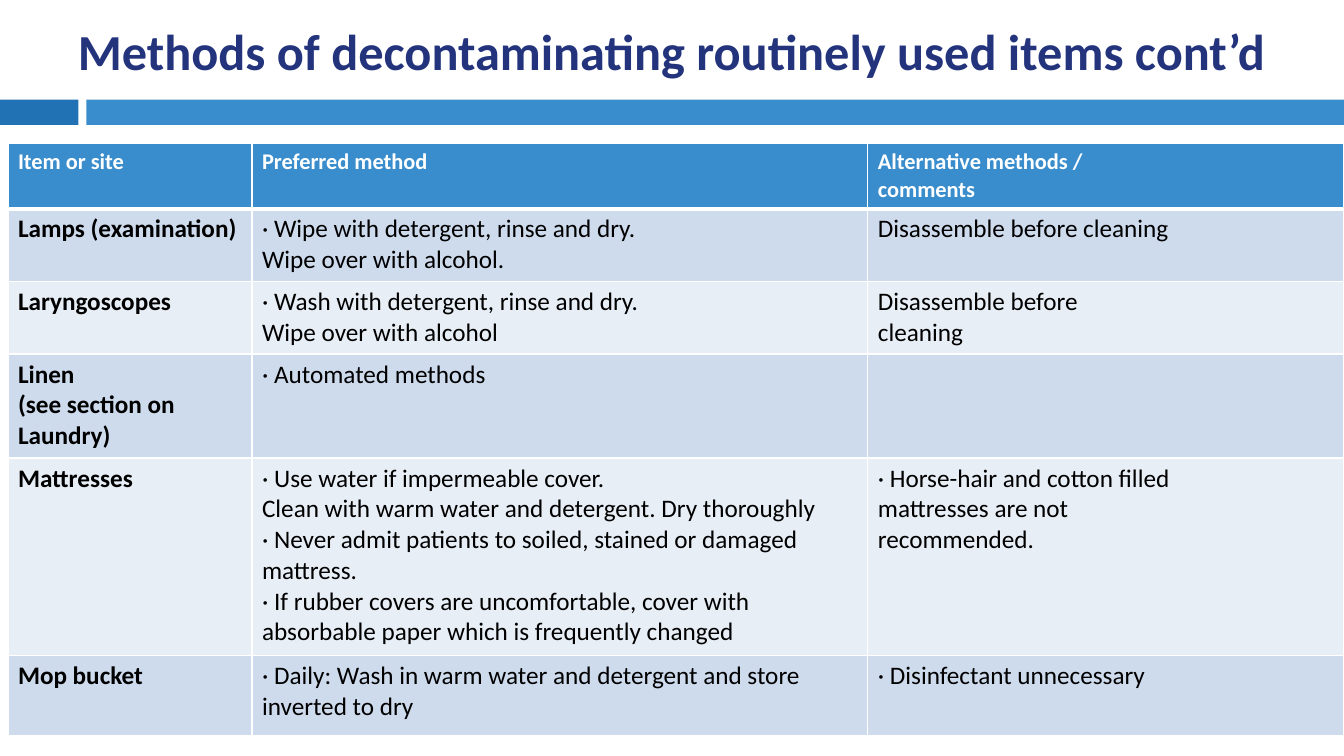
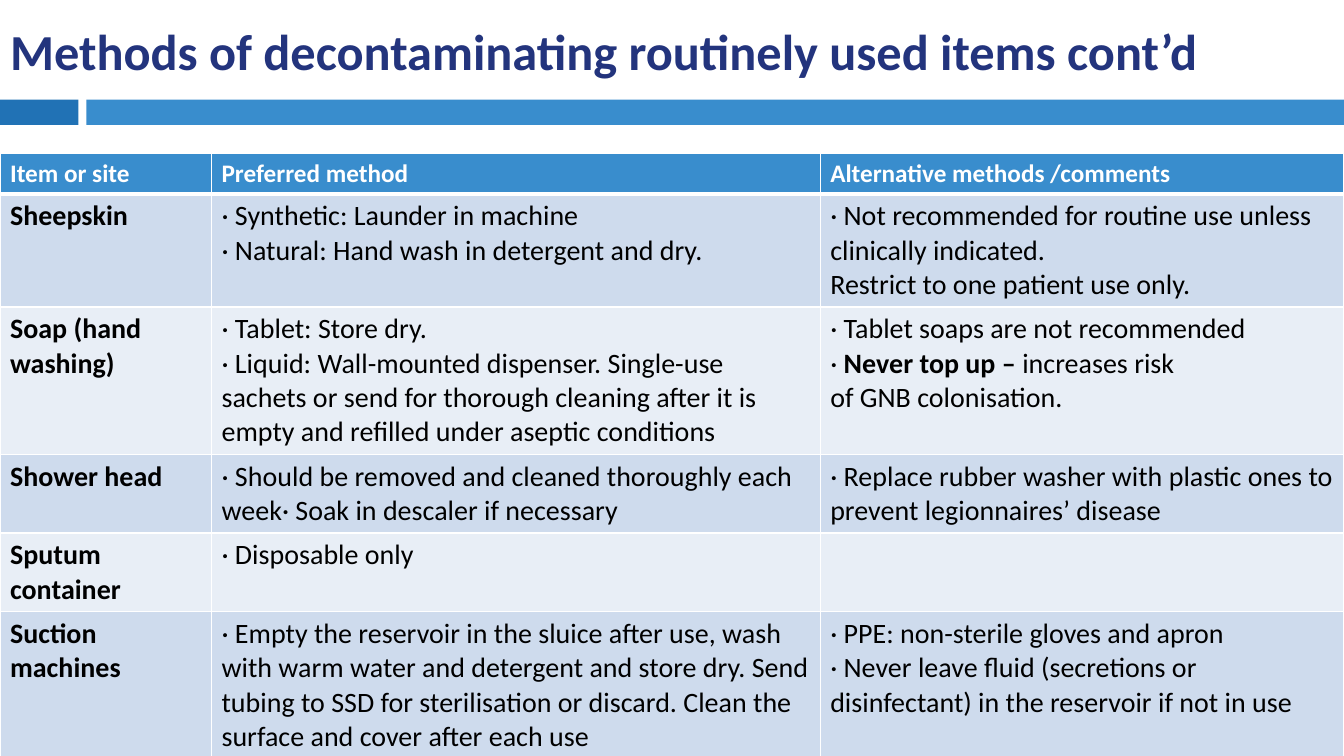
import pptx
import pptx.dml.color
import pptx.enum.shapes
import pptx.enum.text
import pptx.util
from lxml import etree
from pptx.oxml.ns import qn

Cm = pptx.util.Cm
Pt = pptx.util.Pt
RGBColor = pptx.dml.color.RGBColor
ALIGN = pptx.enum.text.PP_ALIGN

# Shared style
FONT = "Calibri"
NAVY = RGBColor(0x23, 0x34, 0x7D)
DARK_BLUE = RGBColor(0x21, 0x72, 0xB5)
BLUE = RGBColor(0x39, 0x8D, 0xCD)
ROW_DARK = RGBColor(0xCE, 0xDB, 0xED)
ROW_LIGHT = RGBColor(0xE8, 0xEE, 0xF6)
WHITE = RGBColor(0xFF, 0xFF, 0xFF)
BLACK = RGBColor(0, 0, 0)
SLIDE_WIDTH = 33.87
BANDS = [(0, 1.98, DARK_BLUE), (2.18, SLIDE_WIDTH - 2.18, BLUE)]
TITLE = "Methods of decontaminating routinely used items cont’d"

# Table content: a line is a paragraph, ** switches bold on and off
ITEMS_L_TO_M = [
    ["Item or site", "Preferred method", "Alternative methods /\ncomments"],
    ["Lamps (examination)",
     "· Wipe with detergent, rinse and dry.\nWipe over with alcohol.",
     "Disassemble before cleaning"],
    ["Laryngoscopes",
     "· Wash with detergent, rinse and dry.\nWipe over with alcohol",
     "Disassemble before\ncleaning"],
    ["Linen\n(see section on\nLaundry)", "· Automated methods", ""],
    ["Mattresses",
     "· Use water if impermeable cover.\n"
     "Clean with warm water and detergent. Dry thoroughly\n"
     "· Never admit patients to soiled, stained or damaged mattress.\n"
     "· If rubber covers are uncomfortable, cover with absorbable paper "
     "which is frequently changed",
     "· Horse-hair and cotton filled\nmattresses are not\nrecommended."],
    ["Mop bucket",
     "· Daily: Wash in warm water and detergent and store inverted to dry",
     "· Disinfectant unnecessary"],
]
ITEMS_S = [
    ["Item or site", "Preferred method", "Alternative methods /comments"],
    ["Sheepskin",
     "· Synthetic: Launder in machine\n"
     "· Natural: Hand wash in detergent and dry.",
     "· Not recommended for routine use unless clinically indicated.\n"
     "Restrict to one patient use only."],
    ["Soap (hand washing)",
     "· Tablet: Store dry.\n"
     "· Liquid: Wall-mounted dispenser. Single-use sachets or send for "
     "thorough cleaning after it is empty and refilled under aseptic conditions",
     "· Tablet soaps are not recommended\n"
     "· **Never top up – **increases risk\nof GNB colonisation."],
    ["Shower head",
     "· Should be removed and cleaned thoroughly each week"
     "· Soak in descaler if necessary",
     "· Replace rubber washer with plastic ones to prevent "
     "legionnaires’ disease"],
    ["Sputum container", "· Disposable only", ""],
    ["Suction machines",
     "· Empty the reservoir in the sluice after use, wash with warm water and "
     "detergent and store dry. Send tubing to SSD for sterilisation or discard. "
     "Clean the surface and cover after each use",
     "· PPE: non-sterile gloves and apron\n"
     "· Never leave fluid (secretions or\n"
     "disinfectant) in the reservoir if not in use"],
]


def style_run(run, size, color, bold):
    run.font.name = FONT
    run.font.size = Pt(size)
    run.font.color.rgb = color
    run.font.bold = bold


def place_title_on_layout(layout):
    title = layout.placeholders[0]
    title.left, title.top = Cm(0), Cm(0.25)
    title.width, title.height = Cm(SLIDE_WIDTH), Cm(2.06)


def move_bands_to_layout(slide):
    """Draw the bands on a slide and hand them to its layout."""
    layout_shapes = slide.slide_layout.shapes
    for number, (left, width, color) in enumerate(BANDS):
        band = slide.shapes.add_shape(
            pptx.enum.shapes.MSO_SHAPE.RECTANGLE,
            Cm(left), Cm(2.51), Cm(width), Cm(0.64))
        band.shadow.inherit = False
        band.fill.solid()
        band.fill.fore_color.rgb = color
        band.line.fill.background()
        # Ids must stay unique within the layout
        band.element.find(".//" + qn("p:cNvPr")).set("id", str(100 + number))
        layout_shapes.element.append(band.element)


def add_title(slide, alignment):
    title = slide.shapes.title
    frame = title.text_frame
    frame.text = TITLE
    frame.word_wrap = True
    frame.auto_size = pptx.enum.text.MSO_AUTO_SIZE.NONE
    frame.vertical_anchor = pptx.enum.text.MSO_ANCHOR.MIDDLE
    frame.paragraphs[0].alignment = alignment
    style_run(frame.paragraphs[0].runs[0], 36, NAVY, True)


def set_borders(cell, top, bottom):
    properties = cell._tc.get_or_add_tcPr()
    for side, width in (("L", 1), ("R", 1), ("T", top), ("B", bottom)):
        line = etree.SubElement(properties, qn("a:ln" + side), w=str(Pt(width)))
        fill = etree.SubElement(line, qn("a:solidFill"))
        etree.SubElement(fill, qn("a:srgbClr"), val=str(WHITE))


def fill_cell(cell, text, size, color, bold):
    cell.text_frame.text = text
    for paragraph in cell.text_frame.paragraphs:
        pieces = paragraph.text.split("**")
        paragraph.text = ""
        for number, piece in enumerate(pieces):
            if piece:
                run = paragraph.add_run()
                run.text = piece
                style_run(run, size, color, bold or number % 2 == 1)


def add_methods_table(slide, content, left, top, widths, heights,
                      header_size, body_size):
    methods = slide.shapes.add_table(
        len(heights), len(widths), Cm(left), Cm(top),
        Cm(sum(widths)), Cm(sum(heights))).table
    for column, width in zip(methods.columns, widths):
        column.width = Cm(width)
    for row_number, (row, height) in enumerate(zip(methods.rows, heights)):
        row.height = Cm(height)
        header = row_number == 0
        background = BLUE if header else (ROW_LIGHT, ROW_DARK)[row_number % 2]
        for column_number, cell in enumerate(row.cells):
            set_borders(cell, 3 if row_number == 1 else 1, 3 if header else 1)
            cell.fill.solid()
            cell.fill.fore_color.rgb = background
            fill_cell(cell, content[row_number][column_number],
                      header_size if header else body_size,
                      WHITE if header else BLACK,
                      header or column_number == 0)


def main():
    deck = pptx.Presentation()
    deck.slide_width, deck.slide_height = Cm(SLIDE_WIDTH), Cm(19.05)
    title_only = deck.slide_layouts[5]
    place_title_on_layout(title_only)

    # Lamps to mop bucket
    slide = deck.slides.add_slide(title_only)
    move_bands_to_layout(slide)
    add_title(slide, ALIGN.CENTER)
    add_methods_table(slide, ITEMS_L_TO_M, 0.2, 3.61, [6.15, 15.52, 11.99],
                      [1.65, 1.83, 1.83, 2.62, 4.98, 2.01], 16, 18)

    # Sheepskin to suction machines
    slide = deck.slides.add_slide(title_only)
    add_title(slide, ALIGN.LEFT)
    add_methods_table(slide, ITEMS_S, 0, 3.86, [5.33, 15.34, 13.2],
                      [0.99, 2.84, 3.71, 1.96, 1.96, 3.53], 18, 20)

    deck.save("out.pptx")


if __name__ == "__main__":
    main()
